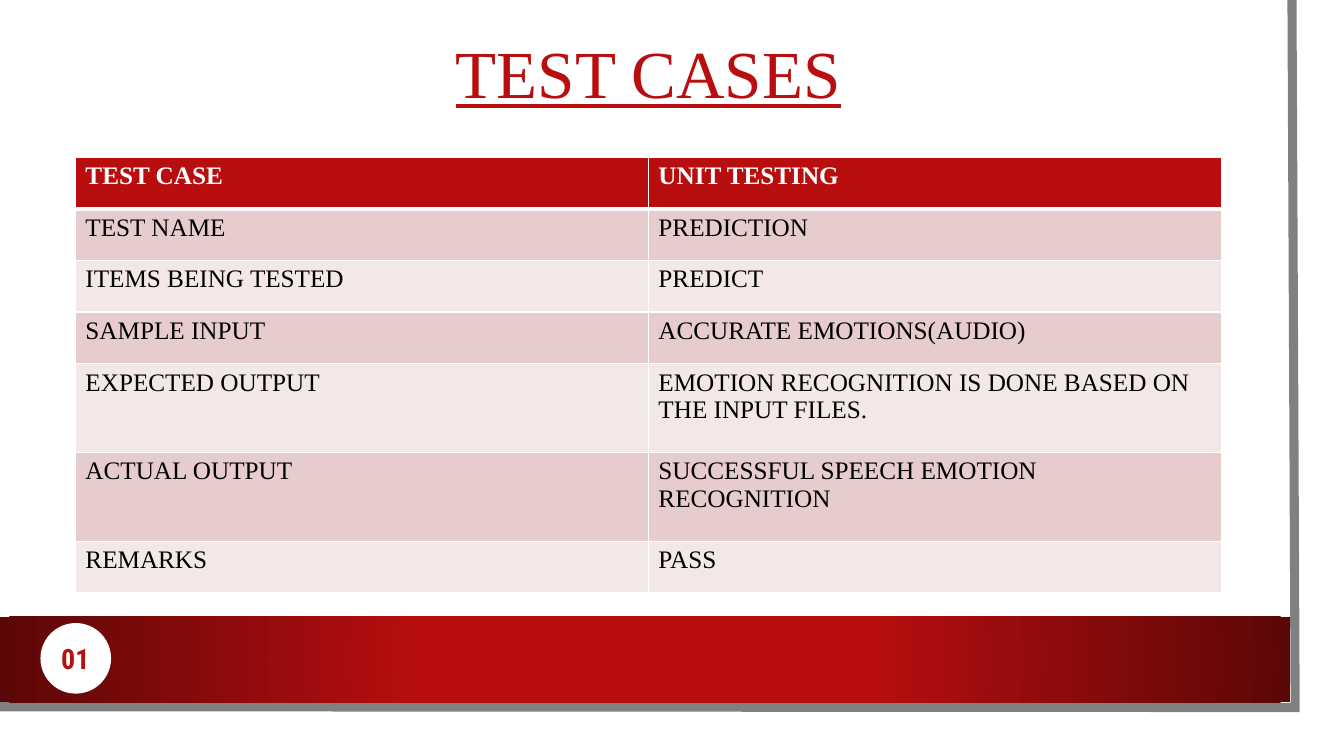
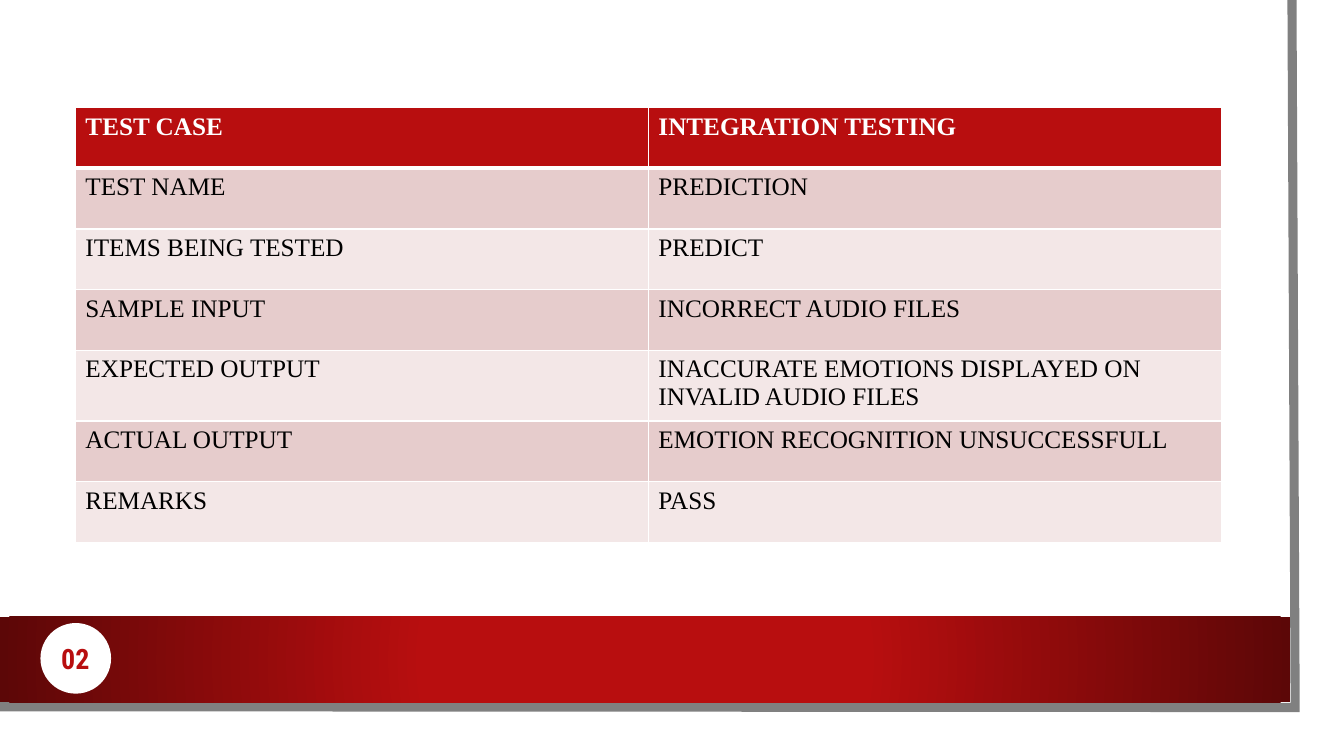
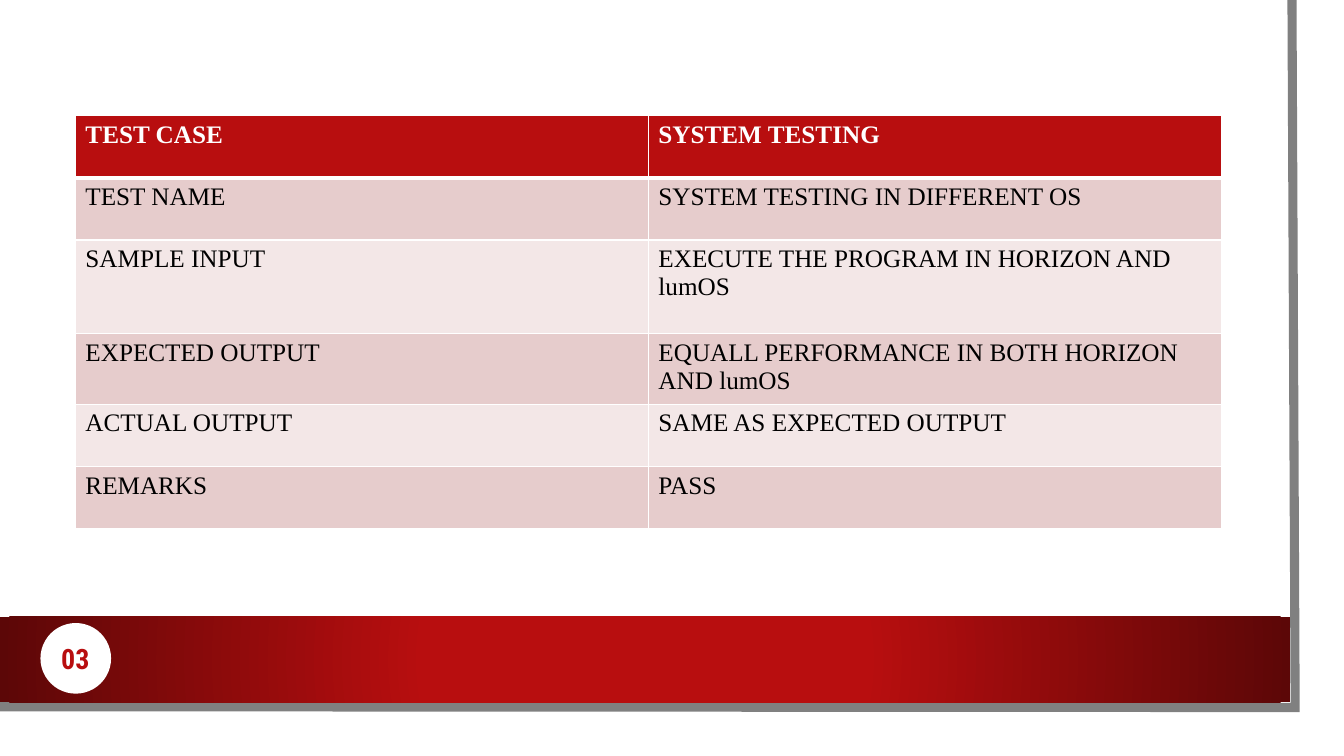
from dataclasses import dataclass

import lxml.etree
import pptx
import pptx.dml.color
import pptx.enum.shapes
import pptx.enum.text
import pptx.oxml
import pptx.oxml.ns
import pptx.presentation
import pptx.shapes.autoshape
import pptx.shapes.base
import pptx.slide
import pptx.table
import pptx.text.text
import pptx.util

Cm = pptx.util.Cm
Pt = pptx.util.Pt
RGBColor = pptx.dml.color.RGBColor
SHAPE = pptx.enum.shapes.MSO_SHAPE
CENTER = pptx.enum.text.PP_ALIGN.CENTER
qn = pptx.oxml.ns.qn

# Palette
RED = RGBColor(0xB8, 0x0E, 0x0F)
DARK_RED = RGBColor(0x5C, 0x07, 0x07)
GREY = RGBColor(0x80, 0x80, 0x80)
WHITE = RGBColor(0xFF, 0xFF, 0xFF)
BLACK = RGBColor(0x00, 0x00, 0x00)
ROW_FILLS = (RGBColor(0xE6, 0xCC, 0xCC), RGBColor(0xF3, 0xE7, 0xE7))

# Text formats
SERIF = "Times New Roman"
TITLE_FORMAT = {"name": SERIF, "size": Pt(48), "underline": True, "bold": False}
HEADER_FORMAT = {"name": SERIF, "size": Pt(18), "bold": True}
BODY_FORMAT = {**HEADER_FORMAT, "bold": False}
NUMBER_FORMAT = {"name": "Roboto Condensed", "size": Pt(20), "bold": True}

# Layout
TITLE_ONLY, BLANK = 5, 6
CONTENT_LEFT, CONTENT_WIDTH = Cm(1.9), Cm(28.88)
DRAWING_NS = 'xmlns:a="http://schemas.openxmlformats.org/drawingml/2006/main"'


@dataclass
class TestRow:
    label: str
    value: str
    height: float


@dataclass
class TestSlide:
    top: float
    rows: list[TestRow]
    title: str = ""


TEST_SLIDES = [
    TestSlide(3.96, [
        TestRow("TEST CASE", "UNIT TESTING", 1.3),
        TestRow("TEST NAME", "PREDICTION", 1.3),
        TestRow("ITEMS BEING TESTED", "PREDICT", 1.3),
        TestRow("SAMPLE INPUT", "ACCURATE EMOTIONS(AUDIO)", 1.3),
        TestRow("EXPECTED OUTPUT",
                "EMOTION RECOGNITION IS DONE BASED ON THE INPUT FILES.", 2.24),
        TestRow("ACTUAL OUTPUT", "SUCCESSFUL SPEECH EMOTION RECOGNITION", 2.24),
        TestRow("REMARKS", "PASS", 1.3),
    ], "TEST CASES"),
    TestSlide(2.71, [
        TestRow("TEST CASE", "INTEGRATION TESTING", 1.53),
        TestRow("TEST NAME", "PREDICTION", 1.53),
        TestRow("ITEMS BEING TESTED", "PREDICT", 1.53),
        TestRow("SAMPLE INPUT", "INCORRECT AUDIO FILES", 1.53),
        TestRow("EXPECTED OUTPUT",
                "INACCURATE EMOTIONS DISPLAYED ON INVALID AUDIO FILES", 1.66),
        TestRow("ACTUAL OUTPUT", "EMOTION RECOGNITION UNSUCCESSFULL", 1.53),
        TestRow("REMARKS", "PASS", 1.53),
    ]),
    TestSlide(2.91, [
        TestRow("TEST CASE", "SYSTEM TESTING", 1.57),
        TestRow("TEST NAME", "SYSTEM TESTING IN DIFFERENT OS", 1.57),
        TestRow("SAMPLE INPUT", "EXECUTE THE PROGRAM IN HORIZON AND lumOS", 2.36),
        TestRow("EXPECTED OUTPUT",
                "EQUALL PERFORMANCE IN BOTH HORIZON AND lumOS", 1.66),
        TestRow("ACTUAL OUTPUT", "SAME AS EXPECTED OUTPUT", 1.57),
        TestRow("REMARKS", "PASS", 1.57),
    ]),
]


def format_font(font: pptx.text.text.Font, values: dict, color: RGBColor) -> None:
    for name, value in values.items():
        setattr(font, name, value)
    font.color.rgb = color


def line_xml(tag: str, points: float) -> lxml.etree._Element:
    return pptx.oxml.parse_xml(
        f'<a:{tag} {DRAWING_NS} w="{Pt(points)}">'
        f'<a:solidFill><a:srgbClr val="{WHITE}"/></a:solidFill></a:{tag}>')


def add_plain_shape(slide: pptx.slide.Slide, kind: SHAPE, left: float, top: float,
                    width: float, height: float) -> pptx.shapes.autoshape.Shape:
    plain = slide.shapes.add_shape(kind, Cm(left), Cm(top), Cm(width), Cm(height))
    plain.shadow.inherit = False
    plain.fill.solid()
    plain.fill.fore_color.rgb = WHITE
    plain.line.fill.background()
    return plain


def draw_frame(slide: pptx.slide.Slide) -> list[pptx.shapes.base.BaseShape]:
    page = add_plain_shape(slide, SHAPE.RECTANGLE, 0, 0, 33.27, 18.47)

    # Grey edge along the right and the bottom
    outline = slide.shapes.build_freeform(Cm(32.56), 0, scale=1.0)
    outline.add_line_segments(
        [(Cm(32.64), Cm(17.83)), (Cm(-0.08), Cm(17.81))], close=False)
    edge = outline.convert_to_shape()
    edge.shadow.inherit = False
    edge.fill.background()
    edge.line.color.rgb = GREY
    edge.line.width = Pt(6.5)
    miter = lxml.etree.SubElement(edge.element.spPr.find(qn("a:ln")), qn("a:miter"))
    miter.set("lim", "800000")

    # Red band, darker towards its ends
    band = add_plain_shape(slide, SHAPE.RECTANGLE, 0, 15.54, 32.51, 2.16)
    gradient = pptx.oxml.parse_xml(
        f'<a:gradFill {DRAWING_NS} rotWithShape="1"><a:gsLst>'
        f'<a:gs pos="34000"><a:srgbClr val="{RED}"/></a:gs>'
        f'<a:gs pos="100000"><a:srgbClr val="{DARK_RED}"/></a:gs></a:gsLst>'
        '<a:path path="circle">'
        '<a:fillToRect l="50000" t="50000" r="50000" b="50000"/></a:path></a:gradFill>')
    properties = band.element.spPr
    properties.replace(properties.find(qn("a:solidFill")), gradient)
    return [page, edge, band]


def move_to_master(master: pptx.slide.SlideMaster,
                   frame: list[pptx.shapes.base.BaseShape]) -> None:
    """Place the frame behind the master's placeholders, with ids of its own."""
    for index, part in enumerate(frame):
        part.element.xpath("./*/p:cNvPr")[0].set("id", str(101 + index))
        master.shapes.element.insert(2 + index, part.element)


def set_title(slide: pptx.slide.Slide, words: str) -> None:
    title = slide.shapes.title
    title.left, title.top = CONTENT_LEFT, Cm(0.33)
    title.width, title.height = CONTENT_WIDTH, Cm(3.2)
    title.text_frame.text = words
    title.text_frame.vertical_anchor = pptx.enum.text.MSO_ANCHOR.MIDDLE
    heading = title.text_frame.paragraphs[0]
    heading.alignment = CENTER
    heading.line_spacing = 0.9
    format_font(heading.runs[0].font, TITLE_FORMAT, RED)


def fill_cell(cell: pptx.table._Cell, words: str, row_index: int) -> None:
    is_header = row_index == 0
    cell.text = words
    format_font(cell.text_frame.paragraphs[0].runs[0].font,
                HEADER_FORMAT if is_header else BODY_FORMAT,
                WHITE if is_header else BLACK)
    cell.fill.solid()
    cell.fill.fore_color.rgb = RED if is_header else ROW_FILLS[(row_index - 1) % 2]
    borders = {"lnL": 1, "lnR": 1, "lnT": 3 if row_index == 1 else 1,
               "lnB": 3 if is_header else 1}
    cell_properties = cell._tc.get_or_add_tcPr()
    for position, (side, points) in enumerate(borders.items()):
        cell_properties.insert(position, line_xml(side, points))


def add_test_table(slide: pptx.slide.Slide, test: TestSlide) -> None:
    total_height = Cm(sum(row.height for row in test.rows))
    grid = slide.shapes.add_table(len(test.rows), 2, CONTENT_LEFT, Cm(test.top),
                                  CONTENT_WIDTH, total_height).table
    grid.horz_banding = False
    for row_index, row in enumerate(test.rows):
        grid.rows[row_index].height = Cm(row.height)
        for column, words in enumerate((row.label, row.value)):
            fill_cell(grid.cell(row_index, column), words, row_index)


def add_page_number(slide: pptx.slide.Slide, number: int) -> None:
    add_plain_shape(slide, SHAPE.OVAL, 1.02, 15.7, 1.78, 1.78)
    label = slide.shapes.add_textbox(Cm(1.25), Cm(16.05), Cm(1.3), Cm(1.11))
    label.text_frame.word_wrap = True
    label.text_frame.auto_size = pptx.enum.text.MSO_AUTO_SIZE.SHAPE_TO_FIT_TEXT
    digits = label.text_frame.paragraphs[0]
    digits.alignment = CENTER
    run = digits.add_run()
    run.text = f"{number:02d}"
    format_font(run.font, NUMBER_FORMAT, RED)
    label.element.xpath(".//a:rPr")[0].insert(0, line_xml("ln", 1))


def main() -> None:
    deck = pptx.Presentation()
    deck.slide_width, deck.slide_height = Cm(33.87), Cm(19.05)
    for number, test in enumerate(TEST_SLIDES, start=1):
        layout = deck.slide_layouts[TITLE_ONLY if test.title else BLANK]
        slide = deck.slides.add_slide(layout)
        if number == 1:
            move_to_master(deck.slide_master, draw_frame(slide))
        if test.title:
            set_title(slide, test.title)
        add_test_table(slide, test)
        add_page_number(slide, number)
    deck.save("out.pptx")


if __name__ == "__main__":
    main()
